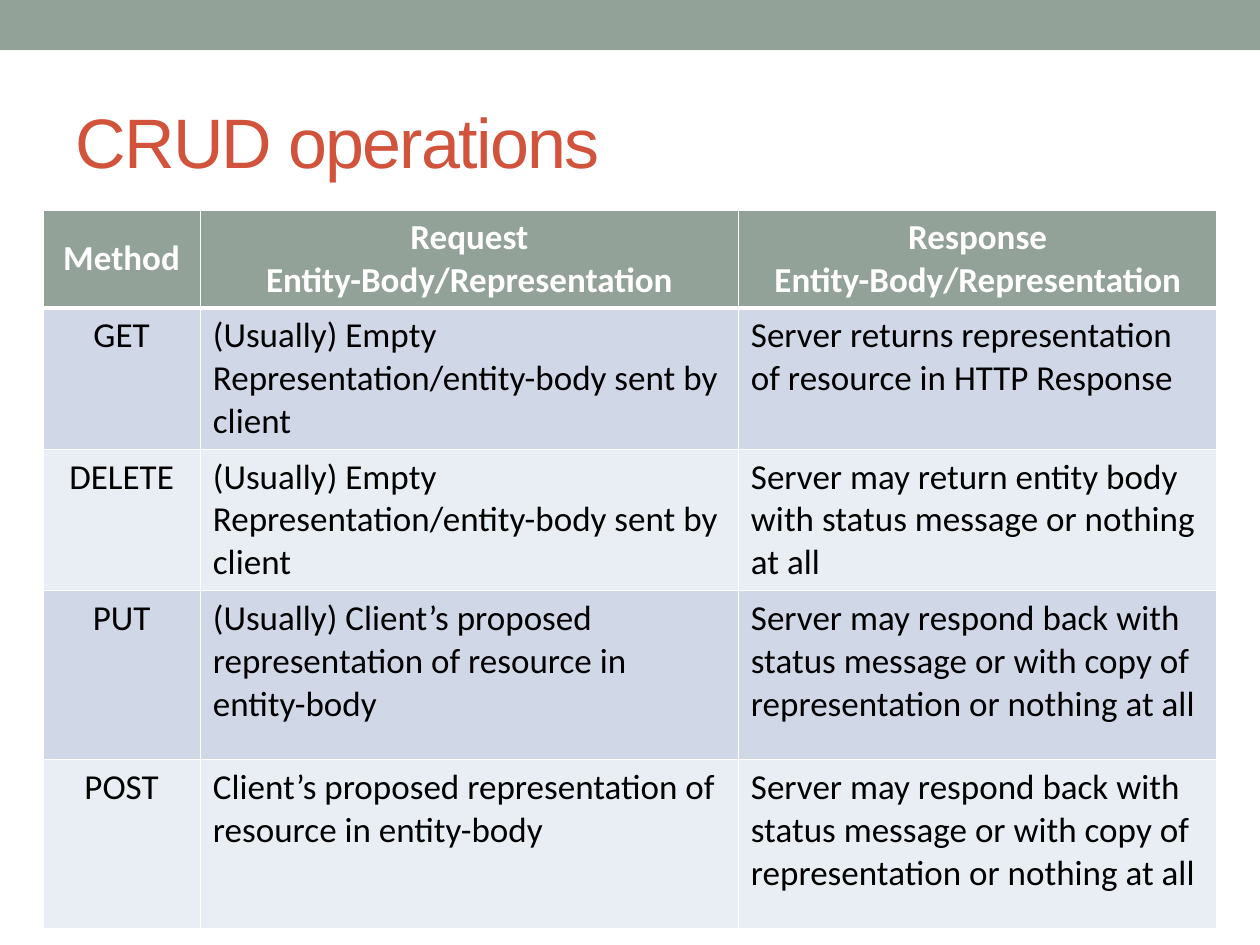
from dataclasses import dataclass

from lxml import etree
from pptx import Presentation
from pptx import util as u
from pptx.dml.color import RGBColor
from pptx.enum import shapes, text
from pptx.oxml.ns import qn

COLORS = {
    "sage": "93A299",
    "title": "D2533C",
    "white": "FFFFFF",
    "black": "000000",
    "odd": "D0D8E8",
    "even": "E9EDF4",
}
WIDTH, HEIGHT = u.Inches(10), u.Inches(7.5)

# Shares of the slide's width and height
TABLE_LEFT, TABLE_TOP = 0.034, 0.222
COLUMN_SHARES = (0.125, 0.427, 0.38)


@dataclass(frozen=True)
class Operation:
    method: str
    request: str
    response: str
    height: float  # share of the slide's height


EMPTY_REQUEST = "(Usually) Empty Representation/entity-body sent by client"
COPY_RESPONSE = ("Server may respond back with status message or with copy of "
                 "representation or nothing at all")
ROWS = (
    Operation("Method", "Request Entity-Body/Representation",
              "Response Entity-Body/Representation", 0.1),
    Operation("GET", EMPTY_REQUEST,
              "Server returns representation of resource in HTTP Response", 0.144),
    Operation("DELETE", EMPTY_REQUEST,
              "Server may return entity body with status message or nothing at all",
              0.144),
    Operation("PUT", "(Usually) Client’s proposed representation of resource in "
              "entity-body", COPY_RESPONSE, 0.179),
    Operation("POST", "Client’s proposed representation of resource in entity-body",
              COPY_RESPONSE, 0.179),
)


def rgb(name: str) -> RGBColor:
    return RGBColor.from_string(COLORS[name])


def across(share: float) -> int:
    return round(WIDTH * share)


def down(share: float) -> int:
    return round(HEIGHT * share)


def add_run(p, words: str, font: str, size: float, color: str, bold: bool = False):
    r = p.add_run()
    r.text = words
    r.font.name, r.font.size, r.font.bold = font, u.Pt(size), bold
    r.font.color.rgb = rgb(color)
    return r


def set_borders(cell, widths: dict[str, float]) -> None:
    """Put white borders before the fill, as the schema asks."""
    tc_pr = cell._tc.get_or_add_tcPr()
    for i, (side, width) in enumerate(widths.items()):
        ln = etree.Element(qn(f"a:ln{side}"), w=str(u.Pt(width)))
        fill = etree.SubElement(ln, qn("a:solidFill"))
        etree.SubElement(fill, qn("a:srgbClr"), val=COLORS["white"])
        tc_pr.insert(i, ln)


def fill_cell(cell, words: str, row: int, column: int) -> None:
    header = row == 0
    cell.fill.solid()
    cell.fill.fore_color.rgb = rgb("sage" if header else "odd" if row % 2 else "even")
    cell.vertical_anchor = text.MSO_ANCHOR.MIDDLE if header else text.MSO_ANCHOR.TOP
    p = cell.text_frame.paragraphs[0]
    centred = header or column == 0
    p.alignment = text.PP_ALIGN.CENTER if centred else text.PP_ALIGN.LEFT
    add_run(p, words, "Calibri", 20, "white" if header else "black", header)
    set_borders(cell, {"L": 1, "R": 1, "T": 3 if row == 1 else 1,
                       "B": 3 if header else 1})


prs = Presentation()
prs.slide_width, prs.slide_height = WIDTH, HEIGHT
s = prs.slides.add_slide(prs.slide_layouts[5])

# Top band
band = s.shapes.add_shape(shapes.MSO_SHAPE.RECTANGLE, 0, 0, WIDTH, down(0.053))
band.shadow.inherit = False
band.fill.solid()
band.fill.fore_color.rgb = rgb("sage")
band.line.fill.background()

# Title
title = s.shapes.title
title.left, title.top = across(0.05), down(0.077)
title.width, title.height = across(0.9), down(0.144)
tf = title.text_frame
tf.auto_size = text.MSO_AUTO_SIZE.NONE
tf.vertical_anchor = text.MSO_ANCHOR.MIDDLE
p = tf.paragraphs[0]
p.alignment = text.PP_ALIGN.LEFT
r = add_run(p, "CRUD operations", "Arial", 40, "title")
r.font._element.set("spc", "-100")

# Operations table
frame = s.shapes.add_table(
    len(ROWS), len(COLUMN_SHARES), across(TABLE_LEFT), down(TABLE_TOP),
    across(sum(COLUMN_SHARES)), down(sum(row.height for row in ROWS)))
table = frame.table
for column, share in zip(table.columns, COLUMN_SHARES):
    column.width = across(share)
for i, op in enumerate(ROWS):
    table.rows[i].height = down(op.height)
    for j, words in enumerate((op.method, op.request, op.response)):
        fill_cell(table.cell(i, j), words, i, j)

prs.save("out.pptx")
